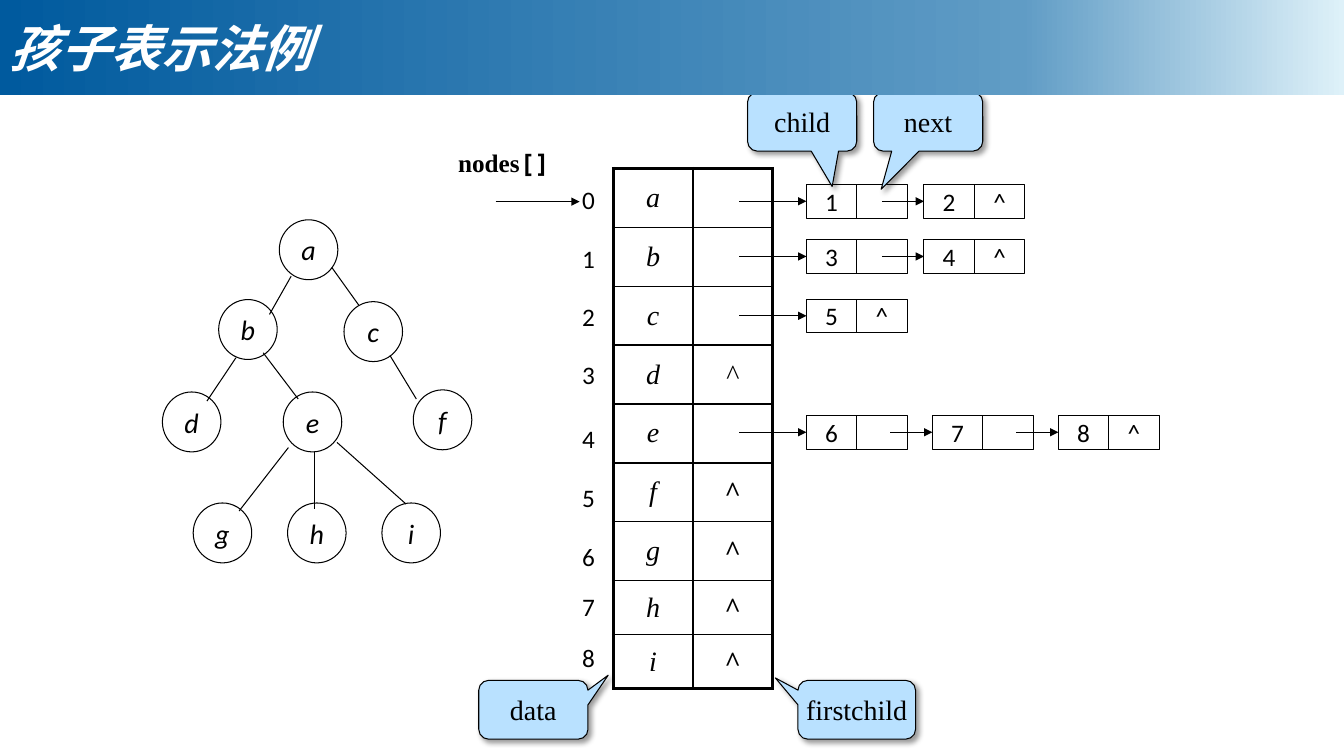
from copy import deepcopy

from lxml.etree import SubElement
from pptx import Presentation
from pptx.dml.color import RGBColor
from pptx.enum.shapes import MSO_CONNECTOR, MSO_SHAPE
from pptx.enum.text import MSO_ANCHOR, PP_ALIGN
from pptx.oxml import parse_xml
from pptx.oxml.ns import nsdecls, qn
from pptx.util import Pt

COLORS = {"ink": "000000", "white": "FFFFFF", "callout": "B9E1FF",
          "deep": "005A9E", "mid": "609CC5", "pale": "DEF1F9"}
NODE_FONT = {"name": "Calibri", "size": Pt(20), "italic": True}
LIST_FONT = {"name": "Calibri", "size": Pt(18)}
SERIF_FONT = {"name": "Times New Roman", "size": Pt(20)}
ARRAY_FONT = {"name": "Times New Roman", "size": Pt(18), "bold": True}
TITLE_FONT = {"name": "Noto Sans CJK SC", "size": Pt(36), "bold": True, "italic": True}

TREE_NODES = {"a": (199.5, 157), "b": (156.2, 214), "c": (245.7, 215.5),
              "d": (116, 280), "e": (202.3, 280), "f": (295.2, 278.5),
              "g": (138, 359.3), "h": (205.4, 359.3), "i": (272.8, 359.3)}
TREE_EDGES = [(208, 197.3, 192.5, 224.6), (168.5, 255.6, 147.8, 286.5),
              (237, 191, 256.3, 218), (188, 252, 213, 285), (278.6, 254, 297.4, 285),
              (224.8, 322.6, 224.8, 363.6), (206, 319.7, 170.8, 365),
              (240.7, 316, 290, 360)]
ARRAY_ROWS = [("a", ""), ("b", ""), ("c", ""), ("d", "^"), ("e", ""),
              ("f", "^"), ("g", "^"), ("h", "^"), ("i", "^")]
INDEX_TOPS = [128.2, 170, 211.6, 253, 298.8, 341, 383, 419, 455]
# top, step between list nodes, start of the link inside a node, children
CHILD_LISTS = [(131.8, 84, 54, "12"), (171.2, 84, 54, "34"),
               (213.6, 84, 54, "5"), (296.8, 90, 60, "678")]
CALLOUTS = [("data", 342, 486, 78, (0.686, -0.589)),
            ("firstchild", 570, 486, 84, (-0.693, -0.542)),
            ("child", 534, 66, 78, (0.275, 1.101)),
            ("next", 624, 66, 78, (-0.43, 1.149))]


def rgb(color):
    return RGBColor.from_string(COLORS[color])


def write(paragraph, text, font, color="ink", align=PP_ALIGN.CENTER):
    paragraph.alignment = align
    run = paragraph.add_run()
    run.text = text
    for attribute, value in font.items():
        setattr(run.font, attribute, value)
    run.font.color.rgb = rgb(color)
    SubElement(run.font._element, qn("a:ea"), typeface=font["name"])


def add_box(slide, preset, left, top, width, height, text="", font=LIST_FONT, fill=None):
    box = slide.shapes.add_shape(preset, Pt(left), Pt(top), Pt(width), Pt(height))
    box.shadow.inherit = False
    if fill:
        box.fill.solid()
        box.fill.fore_color.rgb = rgb(fill)
    else:
        box.fill.background()
    box.line.color.rgb = rgb("ink")
    box.line.width = Pt(0.75)
    box.text_frame.word_wrap = False
    box.text_frame.vertical_anchor = MSO_ANCHOR.MIDDLE
    if text:
        write(box.text_frame.paragraphs[0], text, font)
    return box


def add_line(slide, x1, y1, x2, y2, arrow=False):
    line = slide.shapes.add_connector(MSO_CONNECTOR.STRAIGHT, Pt(x1), Pt(y1), Pt(x2), Pt(y2))
    line.line.color.rgb = rgb("ink")
    line.line.width = Pt(0.75)
    if arrow:
        SubElement(line.line._get_or_add_ln(), qn("a:tailEnd"), type="triangle")
    SubElement(line._element.spPr, qn("a:effectLst"))


def add_label(slide, left, top, width, runs, align):
    label = slide.shapes.add_textbox(Pt(left), Pt(top), Pt(width), Pt(29))
    label.text_frame.word_wrap = True
    for text, font in runs:
        write(label.text_frame.paragraphs[0], text, font, align=align)


def add_callout(slide, text, left, top, width, tip):
    callout = add_box(slide, MSO_SHAPE.ROUNDED_RECTANGULAR_CALLOUT, left, top, width, 42,
                      text, SERIF_FONT, "callout")
    for position, value in enumerate((*tip, 0.167)):
        callout.adjustments[position] = value
    effects = callout._element.spPr.find(qn("a:effectLst"))
    effects.append(parse_xml(
        f'<a:outerShdw {nsdecls("a")} blurRad="{Pt(4)}" dist="{Pt(3)}" dir="2700000" '
        f'algn="tl" rotWithShape="0"><a:srgbClr val="{COLORS["ink"]}">'
        '<a:alpha val="40000"/></a:srgbClr></a:outerShdw>'))


def set_borders(cell, widths):
    """Draw the cell's borders; widths maps the sides L, R, T, B to points."""
    properties = cell._tc.get_or_add_tcPr()
    for position, (side, width) in enumerate(widths.items()):
        properties.insert(position, parse_xml(
            f'<a:ln{side} {nsdecls("a")} w="{Pt(width)}"><a:solidFill>'
            f'<a:srgbClr val="{COLORS["ink"]}"/></a:solidFill></a:ln{side}>'))


def add_node_array(slide):
    last = len(ARRAY_ROWS) - 1
    array = slide.shapes.add_table(last + 1, 2, Pt(438), Pt(120.2), Pt(114), Pt(372)).table
    array.first_row = array.horz_banding = False
    for r, entries in enumerate(ARRAY_ROWS):
        array.rows[r].height = Pt(42.1 if r < 7 else 38.6)
        for c, entry in enumerate(entries):
            cell = array.cell(r, c)
            cell.fill.background()
            cell.vertical_anchor = MSO_ANCHOR.MIDDLE
            set_borders(cell, {"L": 2.25 if c == 0 else 1, "R": 2.25 if c == 1 else 1,
                               "T": 2.25 if r == 0 else 1, "B": 2.25 if r == last else 1})
            if entry:
                emphasis = {"italic": c == 0, "bold": c == 1 and r > 3}
                write(cell.text_frame.paragraphs[0], entry, SERIF_FONT | emphasis)


def add_child_list(slide, top, step, link, children):
    middle = top + 12
    add_line(slide, 528, middle, 576, middle, arrow=True)
    for position, child in enumerate(children):
        left = 576 + position * step
        is_last = position == len(children) - 1
        add_box(slide, MSO_SHAPE.RECTANGLE, left, top, 36, 24, child)
        add_box(slide, MSO_SHAPE.RECTANGLE, left + 36, top, 36, 24, "^" if is_last else "")
        if not is_last:
            add_line(slide, left + link, middle, left + step, middle, arrow=True)


def add_title(slide, text):
    banner = add_box(slide, MSO_SHAPE.RECTANGLE, 0, 0, 960, 67.8)
    banner.line.fill.background()
    banner.fill.gradient()
    banner.fill.gradient_angle = 0
    stops = banner._element.spPr.find(".//" + qn("a:gsLst"))
    stops.append(deepcopy(stops[-1]))
    for stop, position, color in zip(banner.fill.gradient_stops, (0, 0.76, 1),
                                     ("deep", "mid", "pale")):
        stop.position = position
        stop.color.rgb = rgb(color)
    banner.text_frame.word_wrap = True
    write(banner.text_frame.paragraphs[0], text, TITLE_FONT, "white", PP_ALIGN.LEFT)


def main():
    deck = Presentation()
    deck.slide_width, deck.slide_height = Pt(960), Pt(540)
    slide = deck.slides.add_slide(deck.slide_layouts[6])
    for name, (left, top) in TREE_NODES.items():
        add_box(slide, MSO_SHAPE.OVAL, left, top, 41.8, 42.8, name, NODE_FONT)
    for edge in TREE_EDGES:
        add_line(slide, *edge)
    add_node_array(slide)
    for index, top in enumerate(INDEX_TOPS):
        add_label(slide, 384, top, 48, [(str(index), LIST_FONT)], PP_ALIGN.RIGHT)
    add_line(slide, 354, 144, 414, 144, arrow=True)
    for child_list in CHILD_LISTS:
        add_child_list(slide, *child_list)
    add_label(slide, 312, 102, 96, [("nodes", ARRAY_FONT),
              ("[]", ARRAY_FONT | {"name": "Noto Sans Mono"})], PP_ALIGN.CENTER)
    for callout in CALLOUTS:
        add_callout(slide, *callout)
    add_title(slide, "孩子表示法例")
    deck.save("out.pptx")


if __name__ == "__main__":
    main()
